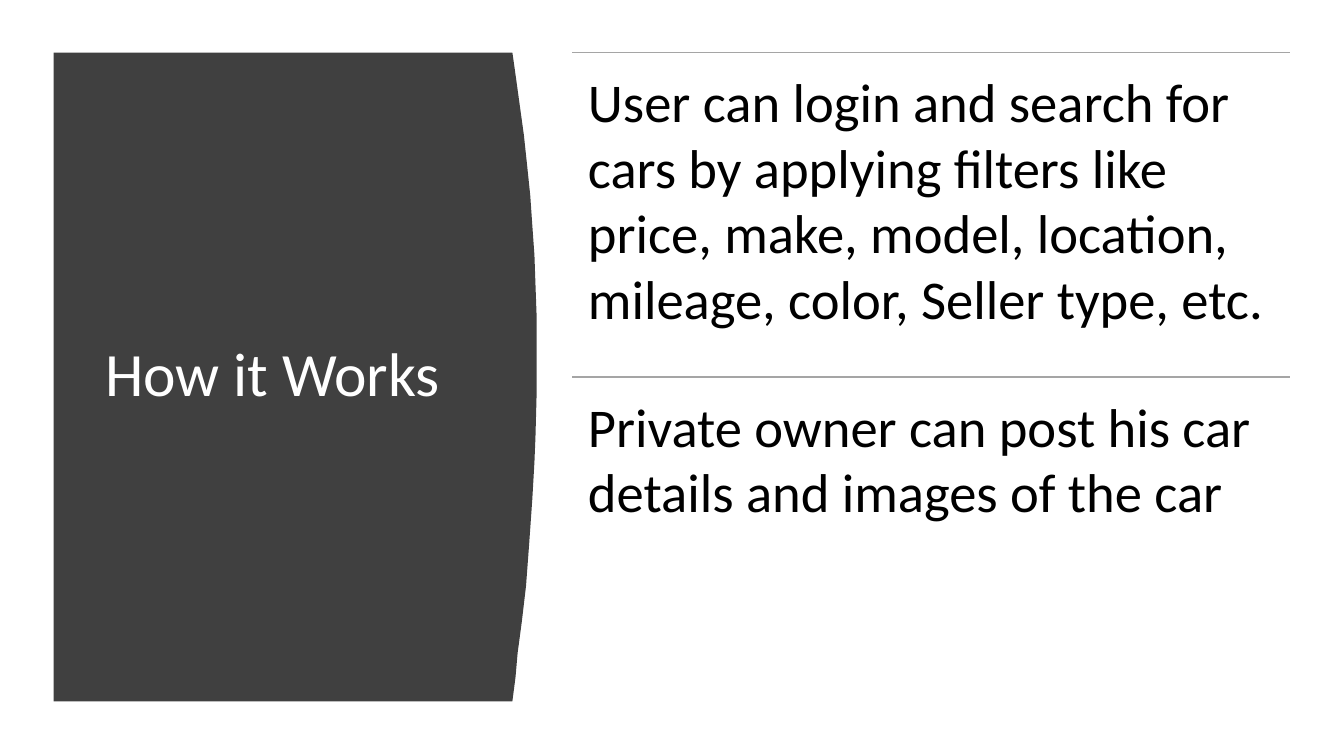
"""Build the "How it Works" slide: a curved title panel beside two ruled statements."""
from lxml import etree
from pptx import Presentation
from pptx.dml.color import RGBColor
from pptx.enum.shapes import MSO_CONNECTOR as Connector
from pptx.enum.text import MSO_ANCHOR as Anchor
from pptx.oxml.ns import qn
from pptx.util import Pt

PX = 9525
THEME = {
    "font": "Calibri",
    "panel": RGBColor(0x40, 0x40, 0x40),
    "rule": RGBColor(0xA5, 0xA5, 0xA5),
    "title": RGBColor(0xFF, 0xFF, 0xFF),
    "body": RGBColor(0x00, 0x00, 0x00),
    "title_size": Pt(44),
    "body_size": Pt(39),
    "rule_width": Pt(1),
}

PANEL_LEFT, PANEL_TOP, PANEL_BOTTOM = 51, 50, 668
PANEL_CURVE = [
    (488, 50), (491, 71), (495, 100), (499, 129), (502, 157), (505, 186),
    (507, 215), (509, 243), (510, 271), (511, 299), (511, 378), (510, 416),
    (509, 440), (507, 475), (504, 518), (501, 558), (497, 592), (493, 622),
    (491, 645), (488, 668),
]
BODY_LEFT, BODY_WIDTH = 545, 684
STATEMENTS = [
    "User can login and search for cars by applying filters like price, "
    "make, model, location, mileage, color, Seller type, etc.",
    "Private owner can post his car details and images of the car",
]

presentation = Presentation()
presentation.slide_width = 1280 * PX
presentation.slide_height = 720 * PX
slide = presentation.slides.add_slide(presentation.slide_layouts[6])


def add_text(text, *, left, top, width, height, size, color, insets=(10, 5),
             anchor=Anchor.TOP, line_spacing=1.0, space_after=Pt(0)):
    box = slide.shapes.add_textbox(left * PX, top * PX, width * PX, height * PX)
    frame = box.text_frame
    frame.word_wrap = True
    frame.vertical_anchor = anchor
    frame.margin_left = frame.margin_right = insets[0] * PX
    frame.margin_top = frame.margin_bottom = insets[1] * PX
    paragraph = frame.paragraphs[0]
    paragraph.line_spacing = line_spacing
    paragraph.space_after = space_after
    run = paragraph.add_run()
    run.text = text
    run.font.name = THEME["font"]
    run.font.size = size
    run.font.color.rgb = color


builder = slide.shapes.build_freeform(PANEL_LEFT, PANEL_TOP, scale=PX)
builder.add_line_segments([*PANEL_CURVE, (PANEL_LEFT, PANEL_BOTTOM)], close=True)
panel = builder.convert_to_shape()
panel.shadow.inherit = False
panel.fill.solid()
panel.fill.fore_color.rgb = THEME["panel"]
panel.line.fill.background()

add_text("How it Works", left=90, top=107, width=359, height=503,
         size=THEME["title_size"], color=THEME["title"],
         anchor=Anchor.MIDDLE, line_spacing=0.9)

row_height = (PANEL_BOTTOM - PANEL_TOP) // len(STATEMENTS)
for index, statement in enumerate(STATEMENTS):
    top = PANEL_TOP + index * row_height
    rule = slide.shapes.add_connector(
        Connector.STRAIGHT, BODY_LEFT * PX, top * PX,
        (BODY_LEFT + BODY_WIDTH) * PX, top * PX)
    rule.line.color.rgb = THEME["rule"]
    rule.line.width = THEME["rule_width"]
    etree.SubElement(rule.element.spPr, qn("a:effectLst"))
    add_text(statement, left=BODY_LEFT, top=top, width=BODY_WIDTH,
             height=row_height, size=THEME["body_size"], color=THEME["body"],
             insets=(15, 15), space_after=Pt(14))

presentation.save("out.pptx")
